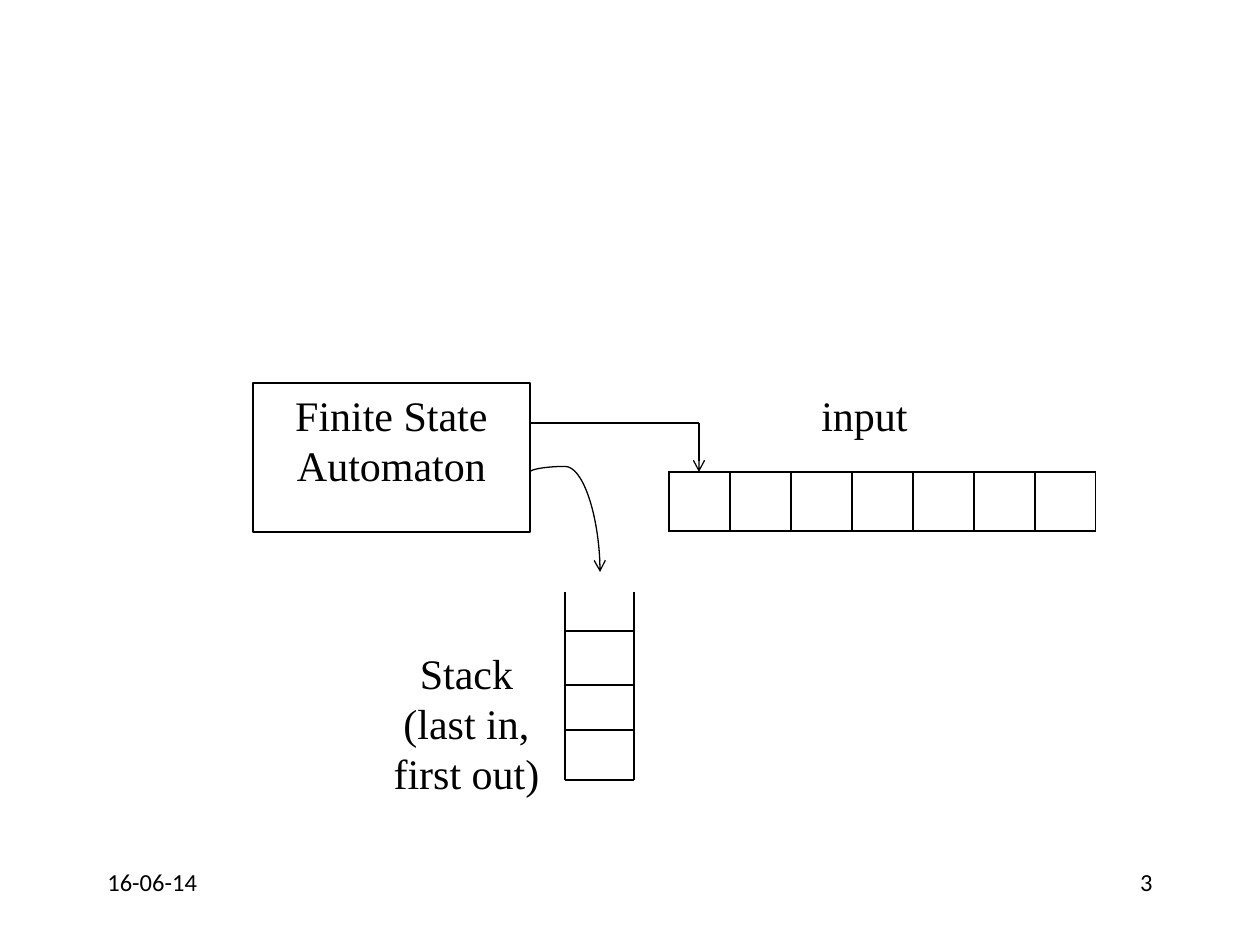
from lxml import etree
from pptx import Presentation
from pptx import util as u
from pptx.dml.color import RGBColor
from pptx.enum import shapes, text
from pptx.oxml.ns import qn

PX = 914400 // 126
BLACK = "000000"
SERIF = "Times New Roman"
LEFT, CENTER, RIGHT = text.PP_ALIGN.LEFT, text.PP_ALIGN.CENTER, text.PP_ALIGN.RIGHT


def px(*values):
    return [u.Emu(v * PX) for v in values]


def color(hex_text):
    return RGBColor.from_string(hex_text)


def set_text(sp, lines, align=LEFT, size=24, font=SERIF):
    tf = sp.text_frame
    tf.word_wrap = True
    tf.vertical_anchor = text.MSO_ANCHOR.TOP
    tf.text = "\n".join(lines)
    for p in tf.paragraphs:
        p.alignment = align
        for r in p.runs:
            r.font.size = u.Pt(size)
            r.font.name = font
            r.font.color.rgb = color(BLACK)


def add_label(parent, box, lines, **style):
    set_text(parent.add_textbox(*px(*box)), lines, **style)


def add_box(s, box, lines):
    sp = s.shapes.add_shape(shapes.MSO_SHAPE.RECTANGLE, *px(*box))
    sp.shadow.inherit = False
    sp.fill.background()
    sp.line.color.rgb = color(BLACK)
    sp.line.width = u.Pt(0.75)
    set_text(sp, lines, align=CENTER)


def add_line(parent, ends, arrow=False, kind=shapes.MSO_CONNECTOR.STRAIGHT):
    line = parent.add_connector(kind, *px(*ends))
    line.line.color.rgb = color(BLACK)
    line.line.width = u.Pt(0.75)
    if arrow:
        etree.SubElement(line.line._get_or_add_ln(), qn("a:tailEnd"), type="arrow")
    etree.SubElement(line._element.spPr, qn("a:effectLst"))
    return line


def add_curved_arrow(s, x1, y1, x2, y2, bend):
    """Curve that leaves upwards, turns over and ends downwards at x2, y2."""
    w, h = x2 - x1, y2 - y1
    left, top = (x1 + x2 - h) // 2, (y1 + y2 - w) // 2
    line = add_line(s.shapes, (left, top, left + h, top + w), True,
                    shapes.MSO_CONNECTOR.CURVE)
    sp_pr = line._element.spPr
    xfrm = sp_pr.find(qn("a:xfrm"))
    xfrm.set("rot", str(270 * 60000))
    xfrm.set("flipH", "1")
    guides = sp_pr.find(qn("a:prstGeom")).get_or_add_avLst()
    etree.SubElement(guides, qn("a:gd"), name="adj1", fmla=f"val {bend}")


def format_cell(cell):
    cell.fill.background()
    tc_pr = cell._tc.get_or_add_tcPr()
    for i, side in enumerate(("lnL", "lnR", "lnT", "lnB")):
        ln = etree.Element(qn(f"a:{side}"), w=str(u.Pt(1)))
        fill = etree.SubElement(ln, qn("a:solidFill"))
        etree.SubElement(fill, qn("a:srgbClr"), val=BLACK)
        tc_pr.insert(i, ln)
    # the empty paragraph's font decides the row's least height
    end = etree.SubElement(cell.text_frame.paragraphs[0]._p, qn("a:endParaRPr"), sz="2400")
    etree.SubElement(end, qn("a:latin"), typeface=SERIF)


def add_tape(s, left, top, cell_width, height, count):
    table = s.shapes.add_table(1, count, *px(left, top, cell_width * count, height)).table
    table.first_row = table.horz_banding = False
    for column in table.columns:
        column.width = u.Emu(cell_width * PX)
    for cell in table.iter_cells():
        format_cell(cell)


def add_stack(s):
    left, right, top, bottom = 565, 634, 592, 780
    group = s.shapes.add_group_shape().shapes
    for x in (left, right):
        add_line(group, (x, top, x, bottom))
    for y in (bottom, 730, 685, 631):
        add_line(group, (left, y, right, y))
    add_label(group, (372, 641, 189, 165), ["Stack", "(last in, first out)"], align=CENTER)


def main():
    prs = Presentation()
    prs.slide_width, prs.slide_height = u.Inches(10), u.Inches(7.5)
    s = prs.slides.add_slide(prs.slide_layouts[6])

    add_tape(s, 669, 472, 61, 52, 7)
    add_label(s.shapes, (95, 861, 262, 63), ["16-06-14"], size=14, font="Calibri")
    add_label(s.shapes, (903, 861, 262, 63), ["3"], align=RIGHT, size=14, font="Calibri")
    add_box(s, (253, 383, 277, 149), ["Finite State Automaton"])
    add_curved_arrow(s, 530, 472, 600, 572, -5600)
    add_line(s.shapes, (530, 423, 699, 423))
    add_line(s.shapes, (699, 423, 699, 472), arrow=True)
    add_label(s.shapes, (809, 383, 129, 63), ["input"])
    add_stack(s)
    prs.save("out.pptx")


if __name__ == "__main__":
    main()
